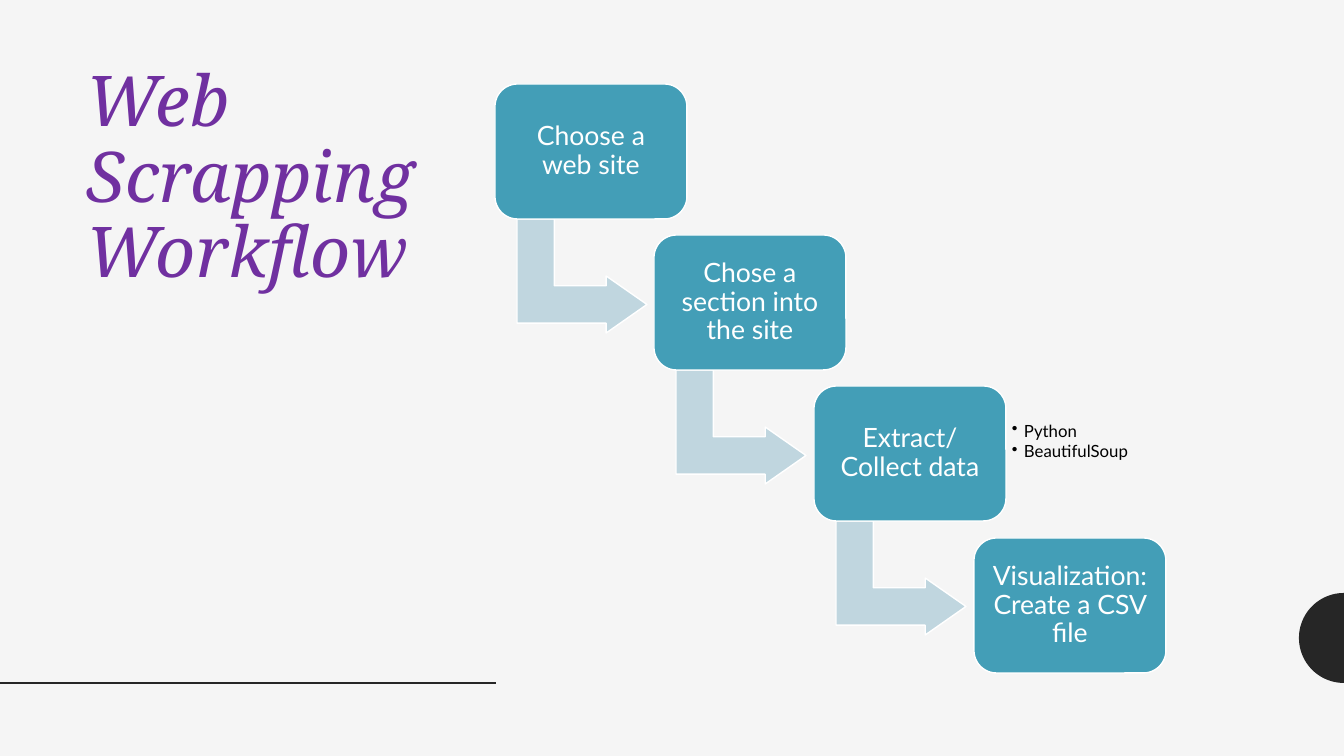
from math import cos, pi, sin
from typing import NamedTuple

from lxml.etree import SubElement
from pptx import Presentation
from pptx.dml.color import RGBColor
from pptx.enum.shapes import MSO_CONNECTOR, MSO_SHAPE
from pptx.enum.text import MSO_ANCHOR, PP_ALIGN
from pptx.oxml.ns import qn
from pptx.util import Emu, Pt

BACKGROUND = RGBColor(0xF5, 0xF5, 0xF5)
DARK = RGBColor(0x26, 0x26, 0x26)
PURPLE = RGBColor(0x70, 0x30, 0xA0)
TEAL = RGBColor(0x43, 0x9E, 0xB7)
PALE_BLUE = RGBColor(0xC0, 0xD6, 0xDF)
WHITE = RGBColor(0xFF, 0xFF, 0xFF)
BLACK = RGBColor(0x00, 0x00, 0x00)

SLIDE_W, SLIDE_H = 1344, 756
BOX_W, BOX_H = 192, 135
ARROW_W, ARROW_H = 130, 114


class Step(NamedTuple):
    text: str
    tools: tuple[str, ...] = ()


STEPS = (
    Step("Choose a web site"),
    Step("Chose a section into the site"),
    Step("Extract/Collect data", ("Python", "BeautifulSoup")),
    Step("Visualization: Create a CSV file"),
)


def px(n: float) -> Emu:
    return Emu(round(n * 914400 / 100.8))


def write(sp, text: str, *, size: float, color: RGBColor, font: str = "Lato",
          italic: bool = False, align=PP_ALIGN.LEFT, anchor=MSO_ANCHOR.MIDDLE,
          inset: tuple[int, int] = (8, 8), after: float = 0,
          bullet_indent: int = 0) -> None:
    """Fill a shape with text: newline starts a paragraph, \\v breaks a line."""
    tf = sp.text_frame
    tf.word_wrap = True
    tf.vertical_anchor = anchor
    tf.margin_left = tf.margin_right = px(inset[0])
    tf.margin_top = tf.margin_bottom = px(inset[1])
    tf.text = text
    for p in tf.paragraphs:
        p.alignment = align
        p.line_spacing = 0.9
        p.space_after = Pt(after)
        if bullet_indent:
            pPr = p._p.get_or_add_pPr()
            pPr.set("marL", str(px(bullet_indent)))
            pPr.set("indent", str(-px(bullet_indent)))
            SubElement(pPr, qn("a:buChar")).set("char", "•")
        for r in p.runs:
            r.font.name = font
            r.font.size = Pt(size)
            r.font.italic = italic
            r.font.color.rgb = color


def add_block(s, kind: MSO_SHAPE, x: int, y: int, w: int, h: int,
              fill: RGBColor, adjustments: tuple[float, ...]):
    sp = s.shapes.add_shape(kind, px(x), px(y), px(w), px(h))
    sp.shadow.inherit = False
    sp.fill.solid()
    sp.fill.fore_color.rgb = fill
    sp.line.color.rgb = WHITE
    sp.line.width = Pt(1)
    for i, value in enumerate(adjustments):
        sp.adjustments[i] = value
    return sp


def add_arrow(s, x: int, y: int) -> None:
    """Down-then-right arrow: an upright frame turned about its centre."""
    turn = (ARROW_W - ARROW_H) // 2
    sp = add_block(s, MSO_SHAPE.BENT_UP_ARROW, x + turn, y - turn,
                   ARROW_H, ARROW_W, PALE_BLUE, (0.328, 0.25, 0.358))
    sp.rotation = 90


def add_step(s, i: int, step: Step) -> None:
    last = len(STEPS) - 1
    x, y = 495 + 479 * i // last, 84 + 454 * i // last
    if i < last:
        add_arrow(s, x + 22, y + BOX_H)
    sp = add_block(s, MSO_SHAPE.ROUNDED_RECTANGLE, x, y, BOX_W, BOX_H,
                   TEAL, (0.167,))
    write(sp, step.text, size=19, color=WHITE, align=PP_ALIGN.CENTER)
    if step.tools:
        sp = s.shapes.add_textbox(px(x + BOX_W + 1), px(y + 13), px(140), px(86))
        write(sp, "\n".join(step.tools), size=12, color=BLACK, inset=(5, 5),
              after=1.8, bullet_indent=12)


def add_half_disc(s, x: int, y: int, radius: int) -> None:
    angles = [pi / 2 + pi * i / 48 for i in range(49)]
    points = [(px(x + radius * cos(a)), px(y + radius * sin(a))) for a in angles]
    builder = s.shapes.build_freeform(*points[0])
    builder.add_line_segments(points[1:], close=True)
    sp = builder.convert_to_shape()
    sp.shadow.inherit = False
    sp.fill.solid()
    sp.fill.fore_color.rgb = DARK
    sp.line.fill.background()


prs = Presentation()
prs.slide_width, prs.slide_height = px(SLIDE_W), px(SLIDE_H)
s = prs.slides.add_slide(prs.slide_layouts[6])
s.background.fill.solid()
s.background.fill.fore_color.rgb = BACKGROUND

# Decoration at the edges
add_half_disc(s, SLIDE_W, 638, 45)
rule = s.shapes.add_connector(MSO_CONNECTOR.STRAIGHT, 0, px(683), px(496), px(683))
rule.line.color.rgb = DARK
rule.line.width = Pt(2)
SubElement(rule._element.spPr, qn("a:effectLst"))

# Title
title = s.shapes.add_textbox(px(77), px(61), px(400), px(240))
write(title, "Web\vScrapping\vWorkflow", size=50, color=PURPLE, font="Noto Serif",
      italic=True, anchor=MSO_ANCHOR.TOP, inset=(10, 5))

# Workflow staircase
for i, step in enumerate(STEPS):
    add_step(s, i, step)

prs.save("out.pptx")
